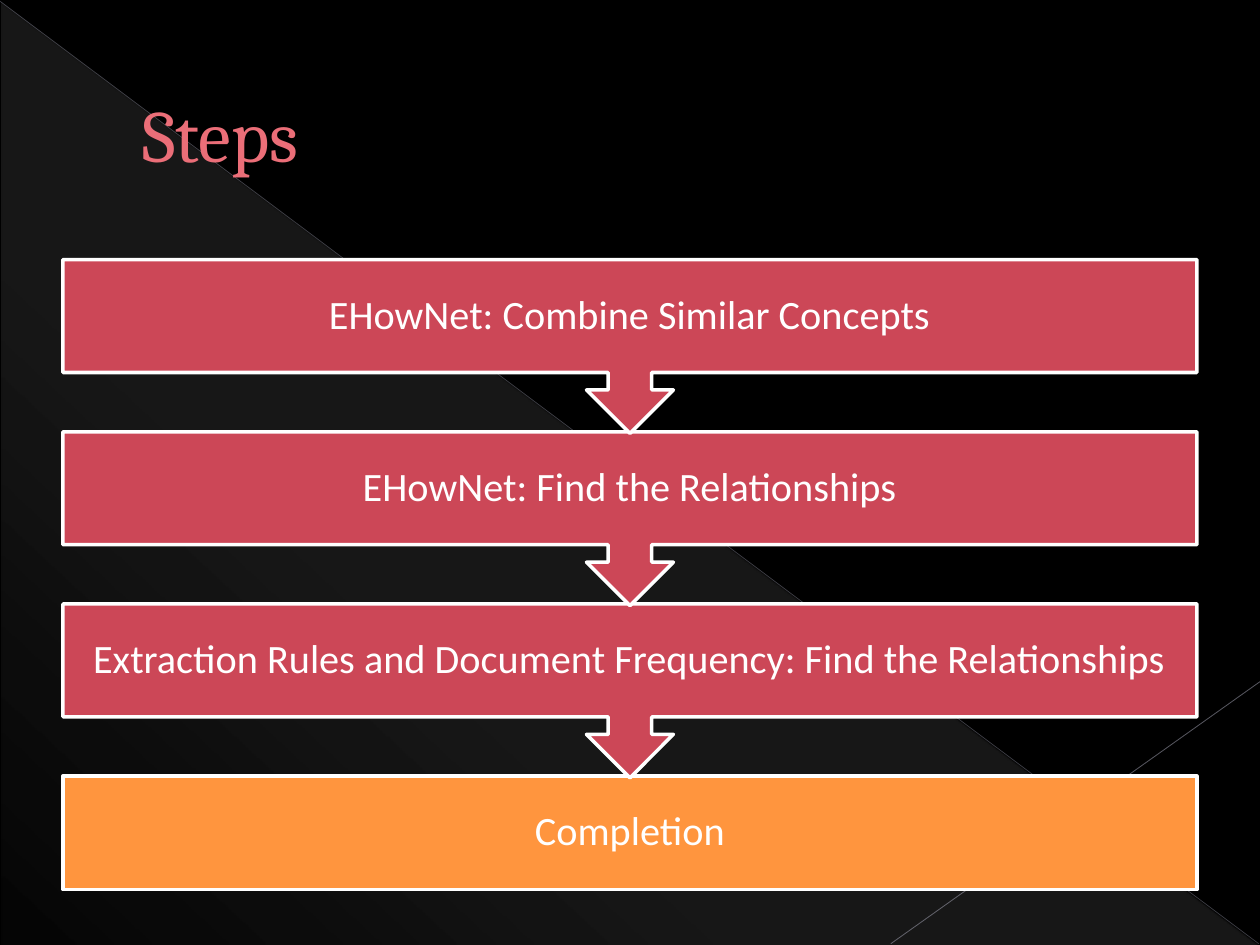
from dataclasses import dataclass

from lxml import etree
from pptx import Presentation
from pptx import util as u
from pptx.dml.color import RGBColor
from pptx.enum import shapes, text
from pptx.oxml import parse_xml
from pptx.oxml.ns import nsdecls, qn


@dataclass(frozen=True)
class Theme:
    back: str = "000000"
    light: str = "FFFFFF"
    title: str = "EB6E78"
    title_edge: str = "8D313C"
    step: str = "CC4757"
    final: str = "FF953E"
    title_font: str = "Cambria"
    body_font: str = "Calibri"
    title_size: float = 42
    body_size: float = 23


THEME = Theme()
WIDTH, HEIGHT = u.Inches(10), u.Inches(7.5)
MARGIN = u.Inches(0.5)
STEPS = [
    "EHowNet: Combine Similar Concepts",
    "EHowNet: Find the Relationships",
    "Extraction Rules and Document Frequency: Find the Relationships",
    "Completion",
]


def rgb(value):
    return RGBColor.from_string(value)


def add_hairline(page, start, end, color, weight, opacity):
    """Draw a translucent line between two points given in inches."""
    line = page.shapes.add_connector(
        shapes.MSO_CONNECTOR.STRAIGHT, *map(u.Inches, start + end))
    line.line.color.rgb = rgb(color)
    line.line.width = u.Pt(weight)
    properties = line._element.spPr
    tint = properties.find(".//" + qn("a:srgbClr"))
    etree.SubElement(tint, qn("a:alpha"), val=str(opacity * 1000))
    etree.SubElement(properties, qn("a:effectLst"))


def add_backdrop(page):
    page.background.fill.solid()
    page.background.fill.fore_color.rgb = rgb(THEME.back)
    wedge = page.shapes.add_shape(
        shapes.MSO_SHAPE.RIGHT_TRIANGLE, u.Inches(0.01), u.Inches(0.02),
        u.Inches(9.98), u.Inches(7.48))
    wedge.shadow.inherit = False
    wedge.line.fill.background()
    stops = "".join(
        f'<a:gs pos="{place * 1000}"><a:srgbClr val="{THEME.light}">'
        f'<a:alpha val="{opacity * 1000}"/></a:srgbClr></a:gs>'
        for place, opacity in ((0, 10), (70, 8), (100, 1)))
    gradient = parse_xml(
        f'<a:gradFill {nsdecls("a")} rotWithShape="1"><a:gsLst>{stops}</a:gsLst>'
        f'<a:lin ang="{133 * 60000}" scaled="0"/></a:gradFill>')
    wedge._element.spPr.find(qn("a:prstGeom")).addnext(gradient)
    add_hairline(page, (0, 0.01), (9.99, 7.49), "B1B2C7", 0.39, 35)
    add_hairline(page, (10, 5.41), (7.07, 7.49), "BABACD", 0.47, 45)


def fill_title(page, wording, left, top, width, height):
    title = page.shapes.title
    title.left, title.top, title.width, title.height = left, top, width, height
    title.text_frame.vertical_anchor = text.MSO_ANCHOR.MIDDLE
    para = title.text_frame.paragraphs[0]
    para.alignment = text.PP_ALIGN.LEFT
    para._p.get_or_add_pPr().set("marL", str(u.Inches(0.53)))
    span = para.add_run()
    span.text = wording
    span.font.name = THEME.title_font
    span.font.size = u.Pt(THEME.title_size)
    span.font.color.rgb = rgb(THEME.title)
    span._r.get_or_add_rPr().insert(0, parse_xml(
        f'<a:ln {nsdecls("a")} w="{u.Pt(0.5)}"><a:solidFill>'
        f'<a:srgbClr val="{THEME.title_edge}"/></a:solidFill></a:ln>'))


def add_step(page, wording, kind, color, left, top, width, height):
    box = page.shapes.add_shape(kind, left, top, width, height)
    box.shadow.inherit = False
    box.fill.solid()
    box.fill.fore_color.rgb = rgb(color)
    box.line.color.rgb = rgb(THEME.light)
    box.line.width = u.Pt(2)
    frame = box.text_frame
    frame.word_wrap = True
    frame.vertical_anchor = text.MSO_ANCHOR.MIDDLE
    frame.margin_left = frame.margin_right = u.Inches(0.18)
    frame.margin_top = frame.margin_bottom = u.Inches(0.18)
    para = frame.paragraphs[0]
    para.text = wording
    para.alignment = text.PP_ALIGN.CENTER
    para.line_spacing = 0.9
    para.font.name = THEME.body_font
    para.font.size = u.Pt(THEME.body_size)
    para.font.color.rgb = rgb(THEME.light)


def add_flow(page, steps, left, top, width, height):
    """Stack the steps from the last up, so each arrow tip lies over the next box."""
    box_height = u.Inches(0.9)
    callout_height = u.Inches(1.38)
    pitch = (height - box_height) / (len(steps) - 1)
    last = len(steps) - 1
    for row in range(last, -1, -1):
        if row == last:
            look = shapes.MSO_SHAPE.RECTANGLE, THEME.final
            tall = box_height
        else:
            look = shapes.MSO_SHAPE.DOWN_ARROW_CALLOUT, THEME.step
            tall = callout_height
        add_step(page, steps[row], *look, left, round(top + row * pitch), width, tall)


def main():
    deck = Presentation()
    deck.slide_width, deck.slide_height = WIDTH, HEIGHT
    page = deck.slides.add_slide(deck.slide_layouts.get_by_name("Title Only"))
    inner = WIDTH - 2 * MARGIN
    add_backdrop(page)
    # The title belongs in front of the backdrop.
    page.shapes._spTree.append(page.shapes.title._element)
    fill_title(page, "Steps", MARGIN, u.Inches(0.29), inner, u.Inches(1.53))
    add_flow(page, STEPS, MARGIN, u.Inches(2.06), inner, u.Inches(5))
    deck.save("out.pptx")


if __name__ == "__main__":
    main()
